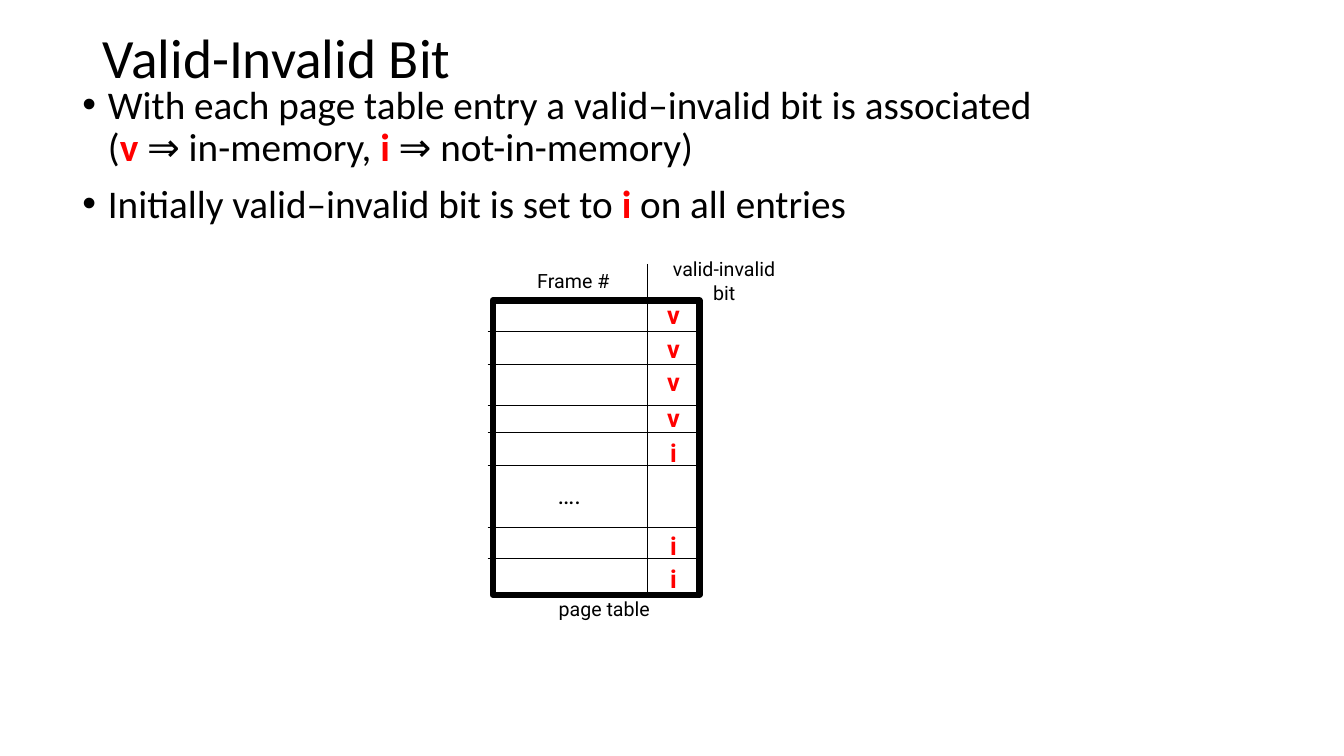
"""Build the slide on the valid-invalid bit of a page table."""
from dataclasses import dataclass

from lxml.etree import SubElement
from pptx import Presentation
from pptx.dml.color import RGBColor
from pptx.enum.shapes import MSO_CONNECTOR as Connector, MSO_SHAPE as Shape
from pptx.enum.text import MSO_ANCHOR as Anchor, MSO_AUTO_SIZE as AutoSize, PP_ALIGN as Align
from pptx.oxml.ns import qn
from pptx.util import Cm, Pt


@dataclass(frozen=True)
class Theme:
    ink: RGBColor = RGBColor(0, 0, 0)
    paper: RGBColor = RGBColor(255, 255, 255)
    accent: RGBColor = RGBColor(255, 0, 0)
    text_font: str = "Calibri"
    table_font: str = "Roboto"
    title_size: Pt = Pt(39.6)
    body_size: Pt = Pt(28)
    bit_size: Pt = Pt(18)
    label_size: Pt = Pt(14)
    frame_line: Pt = Pt(4.5)
    rule_line: Pt = Pt(0.75)


theme = Theme()


def style(font, name, size, color, bold=False):
    font.name = name
    font.size = size
    font.color.rgb = color
    font.bold = bold


def add_label(text, center, top, width, height, size, color, bold=False):
    box = page.shapes.add_textbox(Cm(center - width / 2), Cm(top), Cm(width), Cm(height))
    frame = box.text_frame
    frame.text = text
    frame.word_wrap = False
    frame.auto_size = AutoSize.SHAPE_TO_FIT_TEXT
    frame.vertical_anchor = Anchor.MIDDLE
    for para in frame.paragraphs:
        para.alignment = Align.CENTER
        for span in para.runs:
            style(span.font, theme.table_font, size, color, bold)


deck = Presentation()
deck.slide_width = Cm(33.87)
deck.slide_height = Cm(19.05)
page = deck.slides.add_slide(deck.slide_layouts[6])

title = page.shapes.add_textbox(Cm(2.34), Cm(1.02), Cm(29.21), Cm(1.02)).text_frame
title.text = "Valid-Invalid Bit"
title.word_wrap = True
title.vertical_anchor = Anchor.MIDDLE
title.paragraphs[0].line_spacing = 0.9
style(title.paragraphs[0].runs[0].font, theme.text_font, theme.title_size, theme.ink)

bullets = [
    [
        ("With each page table entry a valid–invalid bit is associated", False),
        ("\v", False),
        ("(", False),
        ("v ", True),
        ("⇒ in-memory, ", False),
        ("i", True),
        (" ⇒ not-in-memory)", False),
    ],
    [
        ("Initially valid–invalid bit is set to ", False),
        ("i ", True),
        ("on all entries", False),
    ],
]
body = page.shapes.add_textbox(Cm(1.83), Cm(2.03), Cm(27.38), Cm(15.19)).text_frame
body.word_wrap = True
for index, pieces in enumerate(bullets):
    para = body.add_paragraph() if index else body.paragraphs[0]
    para.line_spacing = 0.9
    if index:
        para.space_before = Pt(10)
    properties = para._p.get_or_add_pPr()
    properties.set("marL", str(Cm(0.64)))
    properties.set("indent", str(-Cm(0.64)))
    SubElement(properties, qn("a:buFont")).set("typeface", "Arial")
    SubElement(properties, qn("a:buChar")).set("char", "•")
    for text, is_bit in pieces:
        if text == "\v":
            para.add_line_break()
            continue
        span = para.add_run()
        span.text = text
        color = theme.accent if is_bit else theme.ink
        style(span.font, theme.text_font, theme.body_size, color, is_bit)

table_frame = page.shapes.add_shape(Shape.RECTANGLE, Cm(12.42), Cm(7.57), Cm(5.21), Cm(7.42))
table_frame.shadow.inherit = False
table_frame.fill.solid()
table_frame.fill.fore_color.rgb = theme.paper
table_frame.line.color.rgb = theme.ink
table_frame.line.width = theme.frame_line

row_edges = [8.36, 9.19, 10.21, 10.9, 11.73, 13.28, 14.07]
rules = [(12.29, edge, 17.58, edge) for edge in row_edges]
rules.append((16.31, 6.65, 16.31, 14.91))
for ends in rules:
    rule = page.shapes.add_connector(Connector.STRAIGHT, *map(Cm, ends))
    rule.line.color.rgb = theme.ink
    rule.line.width = theme.rule_line
    SubElement(rule._element.spPr, qn("a:effectLst"))

bit_tops = [7.42, 8.26, 9.09, 10.01, 10.9, 13.23, 14.07]
for bit, top in zip("vvvviii", bit_tops):
    add_label(bit, 16.97, top, 0.86, 1.02, theme.bit_size, theme.accent, True)

add_label("….", 14.35, 11.96, 1.32, 1.02, theme.bit_size, theme.ink)

captions = [
    ("Frame #", 14.45, 6.65, 2.34),
    ("valid-invalid\vbit", 18.25, 6.65, 3.73),
    ("page table", 15.23, 14.91, 2.82),
]
for text, center, top, width in captions:
    add_label(text, center, top, width, 0.84, theme.label_size, theme.ink)

deck.save("out.pptx")
